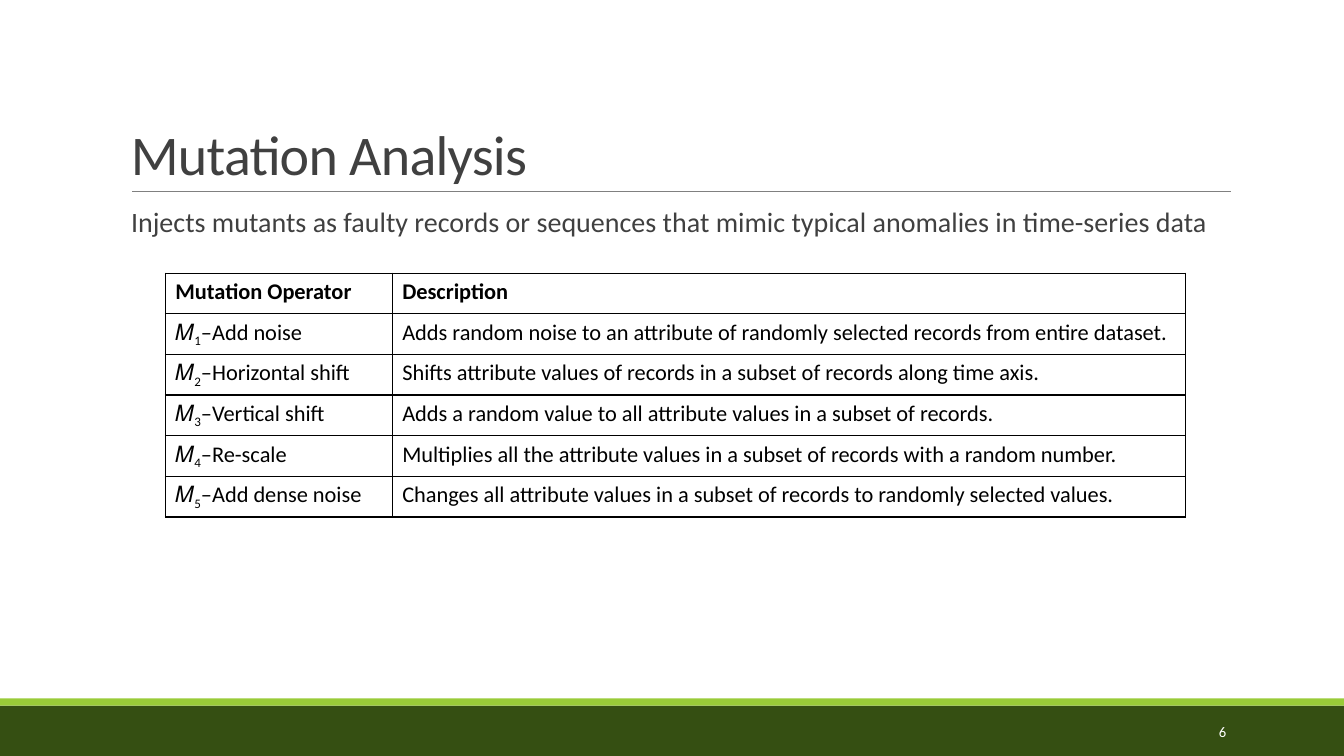
"""Build the Mutation Analysis slide with its table of mutation operators."""
from lxml import etree
from pptx import Presentation
from pptx import util as u
from pptx.dml.color import RGBColor
from pptx.enum import shapes, text
from pptx.oxml import parse_xml
from pptx.oxml.ns import nsdecls, qn


def rgb(value):
    return RGBColor.from_string(value)


def add_run(p, content, size, color, **formats):
    r = p.add_run()
    r.text = content
    r.font.color.rgb = rgb(color)
    for name, value in {"name": "Calibri", "size": u.Pt(size), **formats}.items():
        setattr(r.font, name, value)
    return r


prs = Presentation()
prs.slide_width, prs.slide_height = u.Inches(13.33), u.Inches(7.5)
s = prs.slides.add_slide(prs.slide_layouts[6])

for top, height, color in [(7, 0.5, "354F12"), (6.93, 0.07, "99CB38")]:
    sp = s.shapes.add_shape(shapes.MSO_SHAPE.RECTANGLE, 0, u.Inches(top),
                            prs.slide_width, u.Inches(height))
    sp.shadow.inherit = False
    sp.fill.solid()
    sp.fill.fore_color.rgb = rgb(color)
    sp.line.fill.background()

rule = s.shapes.add_connector(shapes.MSO_CONNECTOR.STRAIGHT, u.Inches(1.31),
                              u.Inches(1.9), u.Inches(12.21), u.Inches(1.9))
rule.line.color.rgb = rgb("808080")
rule.line.width = u.Pt(0.5)
etree.SubElement(rule.element.spPr, qn("a:effectLst"))

anchor, align = text.MSO_ANCHOR, text.PP_ALIGN
intro = ("Injects mutants as faulty records or sequences that mimic "
         "typical anomalies in time-series data")
boxes = [
    ("Mutation Analysis", (1.2, 0.31, 11, 1.59), 40, "404040",
     {"vertical_anchor": anchor.BOTTOM}, {"line_spacing": 0.85}),
    (intro, (1.2, 2.02, 11, 4.4), 20, "404040",
     {"margin_left": 0, "margin_right": 0},
     {"line_spacing": 0.9, "space_before": u.Pt(12), "space_after": u.Pt(2)}),
    ("6", (10.83, 7.06, 1.43, 0.4), 10.5, "FFFFFF",
     {"vertical_anchor": anchor.MIDDLE}, {"alignment": align.RIGHT}),
]
for content, place, size, color, frame_formats, formats in boxes:
    tf = s.shapes.add_textbox(*map(u.Inches, place)).text_frame
    tf.word_wrap = True
    for name, value in frame_formats.items():
        setattr(tf, name, value)
    p = tf.paragraphs[0]
    for name, value in formats.items():
        setattr(p, name, value)
    r = add_run(p, content, size, color)
    if content == "Mutation Analysis":
        r.font._element.set("spc", "-50")
    elif content == intro:
        p._p.get_or_add_pPr().set("marL", str(u.Inches(0.1)))

operators = [
    ("Add noise", "Adds random noise to an attribute of randomly selected records from entire dataset."),
    ("Horizontal shift", "Shifts attribute values of records in a subset of records along time axis."),
    ("Vertical shift", "Adds a random value to all attribute values in a subset of records."),
    ("Re-scale", "Multiplies all the attribute values in a subset of records with a random number."),
    ("Add dense noise", "Changes all attribute values in a subset of records to randomly selected values."),
]
rows = [("Mutation Operator", "Description")] + operators
table = s.shapes.add_table(len(rows), 2, u.Inches(1.64), u.Inches(2.71),
                           u.Inches(10.12), u.Inches(2.41)).table
table.first_row = table.horz_banding = False
for column, width in zip(table.columns, (2.25, 7.87)):
    column.width = u.Inches(width)

for i, row in enumerate(rows):
    for j, content in enumerate(row):
        cell = table.cell(i, j)
        for side in ("lnL", "lnR", "lnT", "lnB"):
            cell._tc.get_or_add_tcPr().append(parse_xml(
                f'<a:{side} {nsdecls("a")} w="12700"><a:solidFill>'
                f'<a:srgbClr val="000000"/></a:solidFill></a:{side}>'))
        cell.fill.background()
        p = cell.text_frame.paragraphs[0]
        if i and j == 0:
            add_run(p, "𝑀", 16, "000000", bold=False)
            r = add_run(p, str(i), 16, "000000", bold=False)
            r.font._element.set("baseline", "-25000")
            content = "–" + content
        add_run(p, content, 16, "000000", bold=i == 0)

prs.save("out.pptx")
